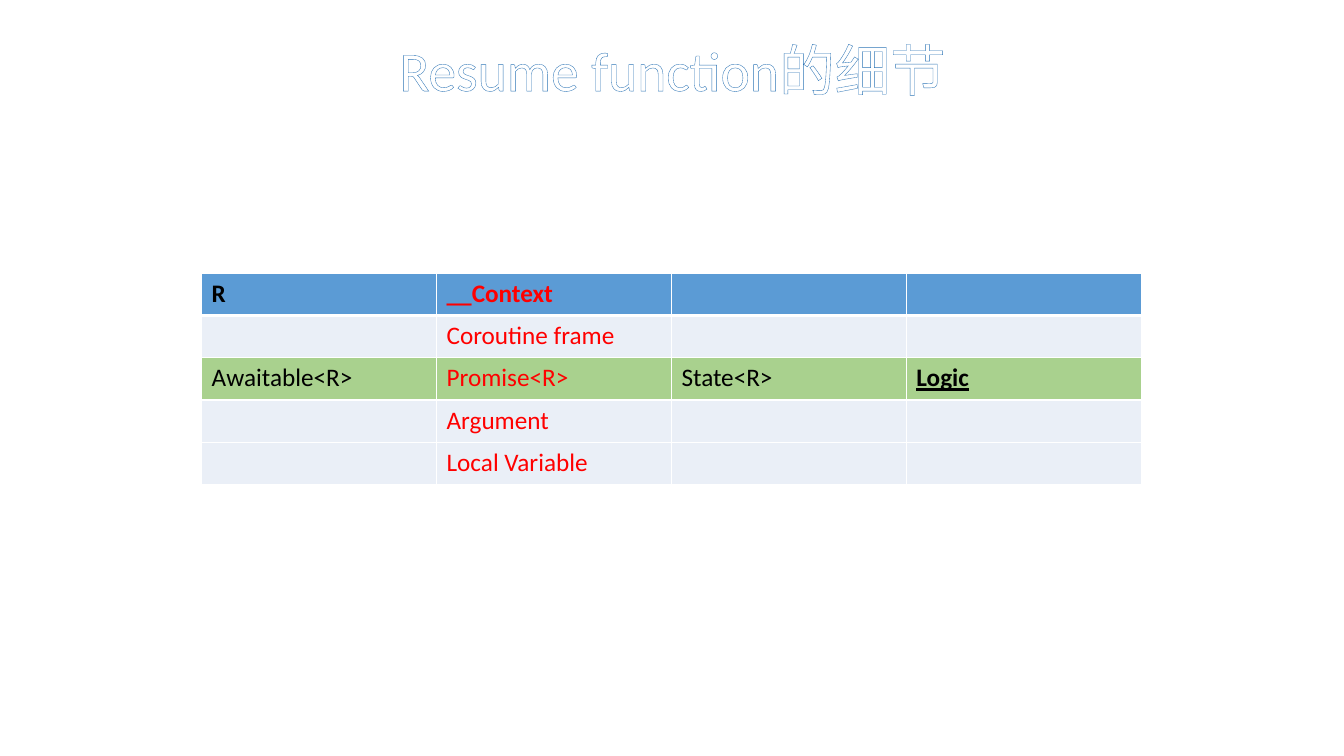
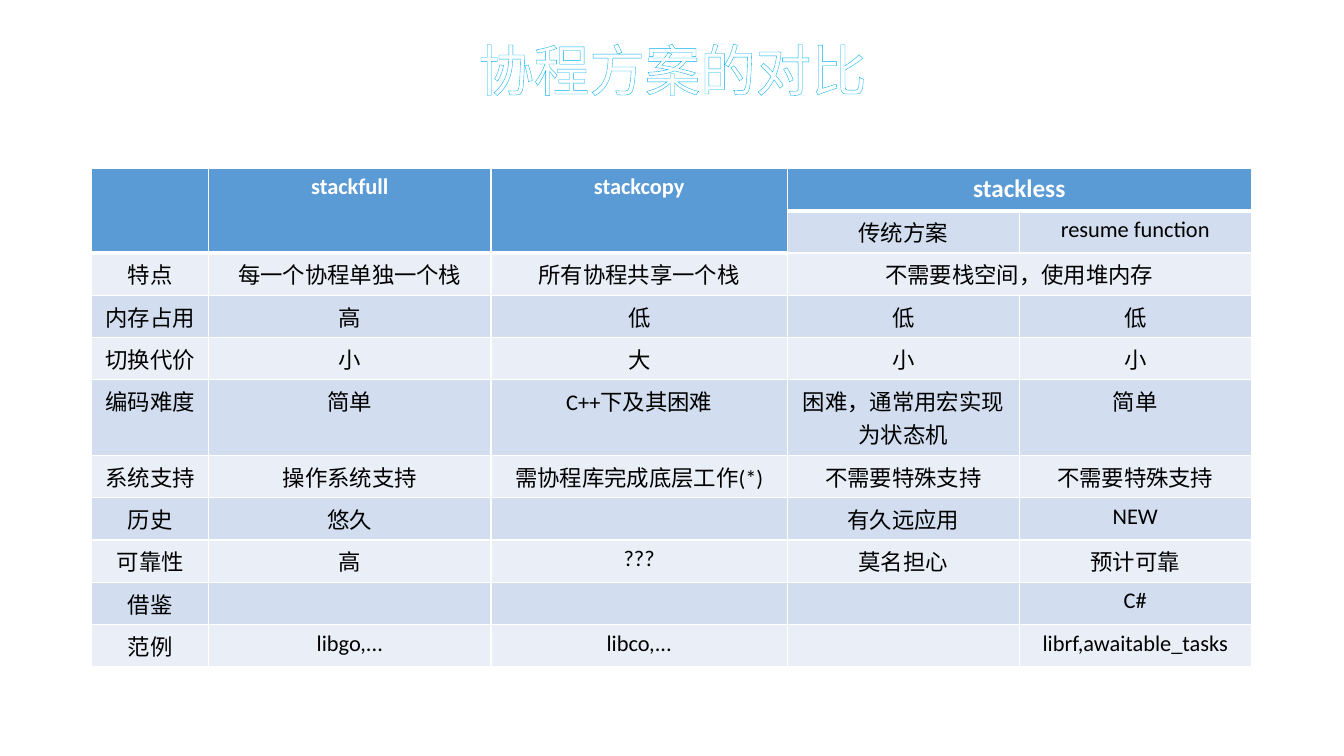
from lxml import etree
from pptx import Presentation
from pptx.dml.color import RGBColor
from pptx.enum.text import MSO_ANCHOR, PP_ALIGN
from pptx.oxml.ns import qn
from pptx.util import Inches, Pt

CENTER, LEFT, MIDDLE = PP_ALIGN.CENTER, PP_ALIGN.LEFT, MSO_ANCHOR.MIDDLE
FONT = "Calibri"
WHITE, BLACK, RED = "FFFFFF", "000000", "FF0000"
HEAD, PALE, BAND, GREEN = "5B9BD5", "EAEFF7", "D2DEEF", "A9D18E"
ROW, TALL = 0.42, 0.75


def style(font, size, color, bold=False):
    font.name, font.size, font.bold = FONT, Pt(size), bold
    font.color.rgb = RGBColor.from_string(color)


def outline(props, tag, color, width, place=0):
    """Insert a solid line into run or cell properties at the given place."""
    line = etree.Element(qn(tag), w=str(Pt(width)))
    fill = etree.SubElement(line, qn("a:solidFill"))
    etree.SubElement(fill, qn("a:srgbClr"), val=color)
    props.insert(place, line)


frame_rows = [
    ["R", "__Context", "", ""],
    ["", "Coroutine frame", "", ""],
    ["Awaitable<R>", "Promise<R>", "State<R>", "Logic"],
    ["", "Argument", "", ""],
    ["", "Local Variable", "", ""],
]
plan_rows = [
    ["", "stackfull", "stackcopy", "stackless", ""],
    ["", "", "", "传统方案", "resume function"],
    ["特点", "每一个协程单独一个栈", "所有协程共享一个栈", "不需要栈空间，使用堆内存", ""],
    ["内存占用", "高", "低", "低", "低"],
    ["切换代价", "小", "大", "小", "小"],
    ["编码难度", "简单", "C++下及其困难", "困难，通常用宏实现为状态机", "简单"],
    ["系统支持", "操作系统支持", "需协程库完成底层工作(*)", "不需要特殊支持", "不需要特殊支持"],
    ["历史", "悠久", "", "有久远应用", "NEW"],
    ["可靠性", "高", "???", "莫名担心", "预计可靠"],
    ["借鉴", "", "", "", "C#"],
    ["范例", "libgo,...", "libco,...", "", "librf,awaitable_tasks"],
]
frame_fills = [[color] * 4 for color in (HEAD, PALE, GREEN, PALE, PALE)]
plan_fills = [[HEAD] * 5, [HEAD] * 3 + [BAND] * 2]
plan_fills += [[BAND if r % 2 else PALE] * 5 for r in range(2, len(plan_rows))]
# The coding-difficulty row holds two lines of text
plan_highs = [ROW] * 5 + [TALL] + [ROW] * 5
# Merged areas: first row, first column, last row, last column
plan_spans = [(0, c, 1, c) for c in range(3)] + [(0, 3, 0, 4), (2, 3, 2, 4)]

# Title, outline, left, top, column widths, row heights,
# rows, fills, spans, size, head text, alignment
pages = [
    ("Resume function的细节", "2E75B6", 2, 2.71, [2.33] * 4, [ROW] * 5,
     frame_rows, frame_fills, [], 18, BLACK, LEFT),
    ("协程方案的对比", "00B0F0", 0.91, 1.67, [1.16, 2.8, 2.94, 2.3, 2.3], plan_highs,
     plan_rows, plan_fills, plan_spans, 16, WHITE, CENTER),
]

prs = Presentation()
prs.slide_width, prs.slide_height = Inches(13.33), Inches(7.5)
tables = []

for title, edge, left, top, widths, highs, rows, fills, spans, size, ink, align in pages:
    slide = prs.slides.add_slide(prs.slide_layouts[6])

    box = slide.shapes.add_textbox(Inches(0.92), Inches(0.4), Inches(11.5), Inches(0.65))
    frame = box.text_frame
    frame.word_wrap, frame.vertical_anchor = True, MIDDLE
    frame.text = title
    para = frame.paragraphs[0]
    para.alignment, para.line_spacing = CENTER, 0.9
    run = para.runs[0]
    style(run.font, 39.6, WHITE)
    outline(run.font._element, "a:ln", edge, 0.8)

    table = slide.shapes.add_table(
        len(rows), len(widths), Inches(left), Inches(top),
        Inches(sum(widths)), Inches(sum(highs))).table
    table.first_row = table.horz_banding = False
    tables.append(table)
    for col, width in zip(table.columns, widths):
        col.width = Inches(width)

    for r, texts in enumerate(rows):
        table.rows[r].height = Inches(highs[r])
        for c, text in enumerate(texts):
            cell, fill = table.cell(r, c), fills[r][c]
            cell.fill.solid()
            cell.fill.fore_color.rgb = RGBColor.from_string(fill)
            above = 3 if r and fills[r - 1][c] == HEAD else 1
            below = 3 if fill == HEAD else 1
            sides = [("a:lnL", 1), ("a:lnR", 1), ("a:lnT", above), ("a:lnB", below)]
            for place, (tag, width) in enumerate(sides):
                outline(cell._tc.tcPr, tag, WHITE, width, place)
            if text:
                cell.text_frame.text = text
                para = cell.text_frame.paragraphs[0]
                para.alignment = align
                style(para.runs[0].font, size, ink if fill == HEAD else BLACK, fill == HEAD)

    for r1, c1, r2, c2 in spans:
        table.cell(r1, c1).merge(table.cell(r2, c2))

frame_table, plan_table = tables
for r in range(len(frame_rows)):
    run = frame_table.cell(r, 1).text_frame.paragraphs[0].runs[0]
    run.font.color.rgb = RGBColor.from_string(RED)
logic = frame_table.cell(2, 3).text_frame.paragraphs[0].runs[0]
logic.font.bold = logic.font.underline = True
plan_table.cell(0, 3).text_frame.paragraphs[0].runs[0].font.size = Pt(18)

prs.save("out.pptx")
